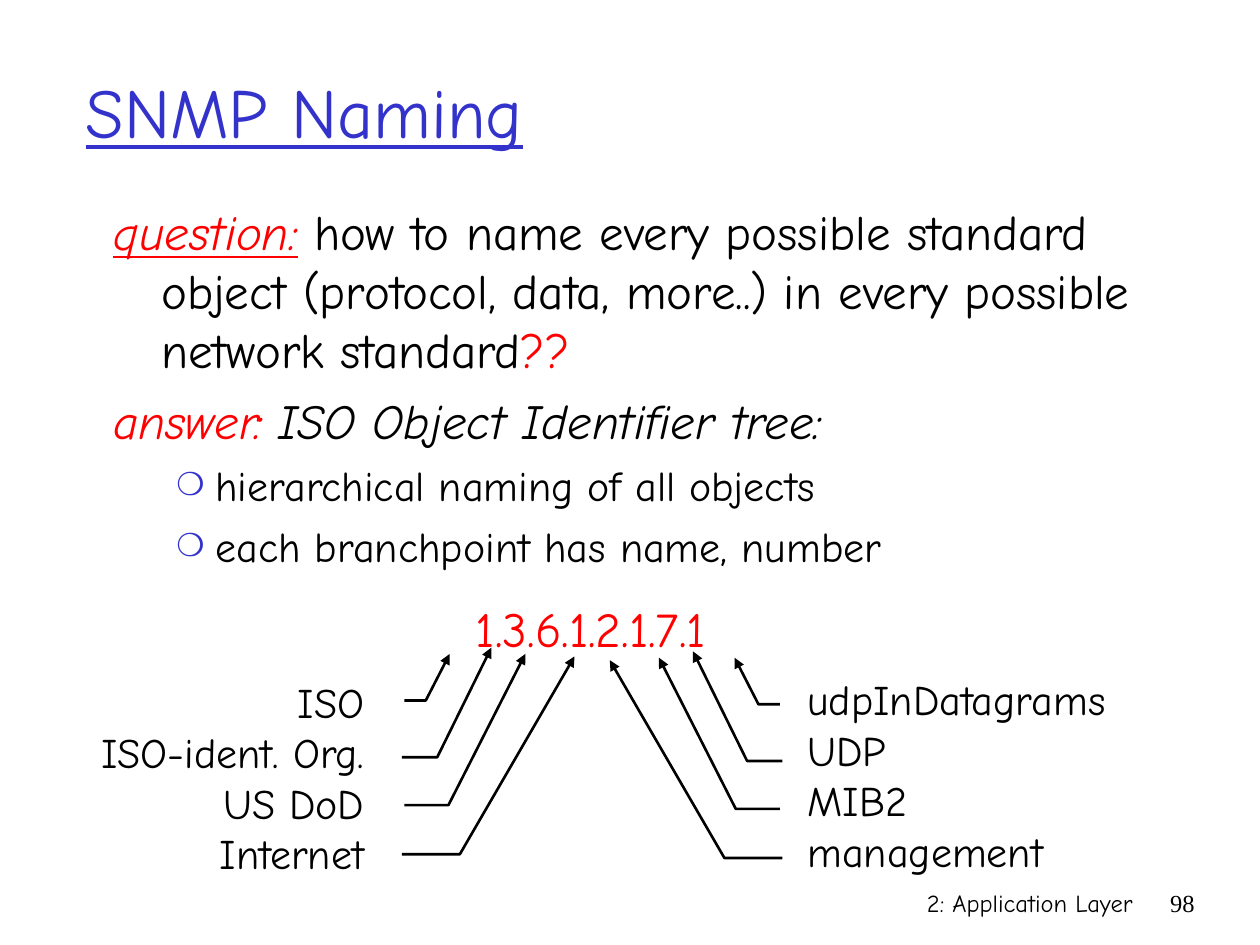
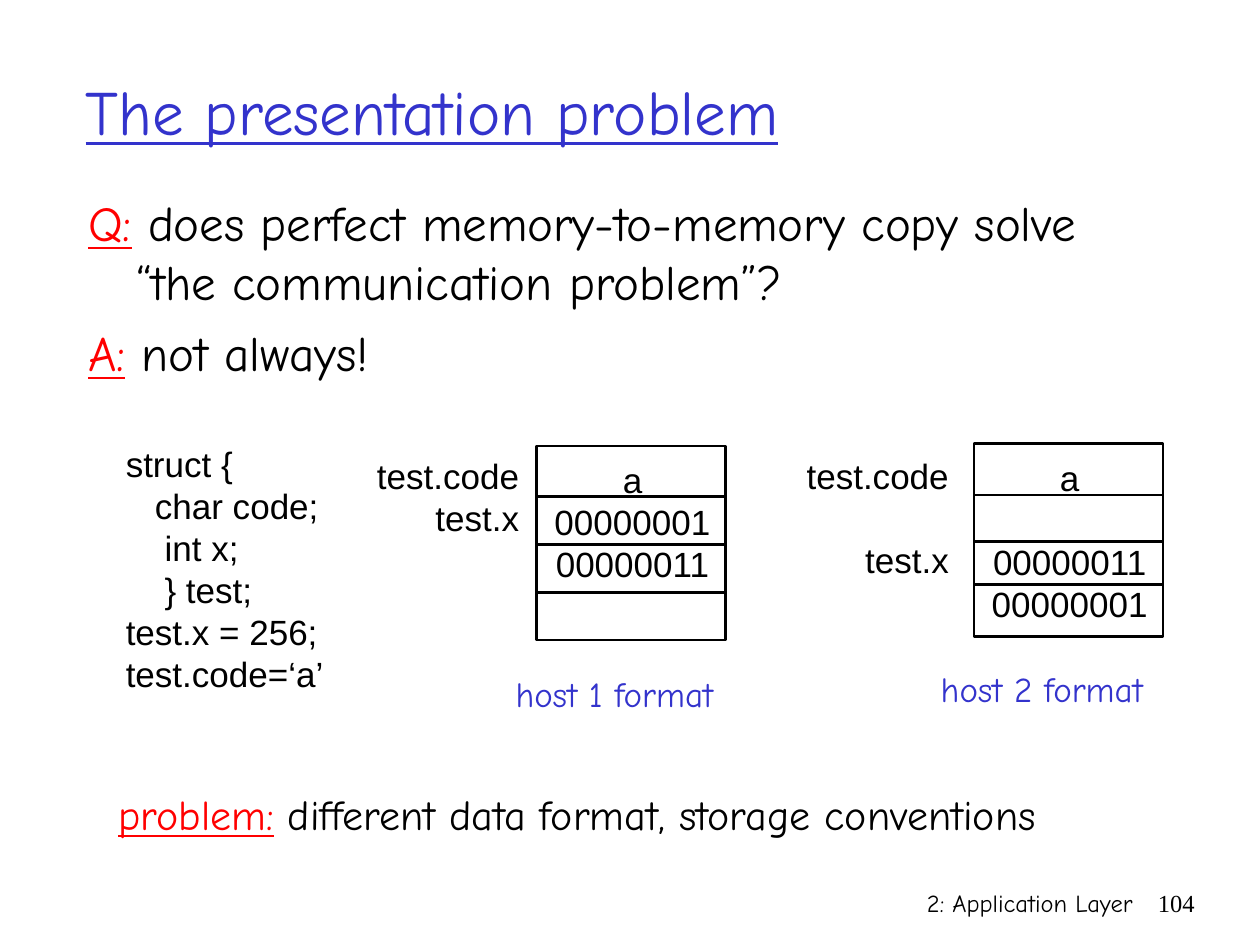
from dataclasses import dataclass
from typing import NamedTuple

from lxml.etree import SubElement
from pptx import Presentation
from pptx.dml.color import RGBColor
from pptx.enum.shapes import MSO_CONNECTOR as Connector, MSO_SHAPE as Shape
from pptx.enum.text import MSO_ANCHOR as Anchor, MSO_AUTO_SIZE as AutoSize, PP_ALIGN as Align
from pptx.oxml.ns import qn
from pptx.util import Inches, Pt

BLACK, WHITE, RED, BLUE = "000000", "FFFFFF", "FF0000", "3333CC"
HAND, SANS, SERIF = "Comic Neue", "Arial", "Times New Roman"
LINE_WIDTH = 1.5


class Area(NamedTuple):
    left: float
    top: float
    width: float
    height: float


class Span(NamedTuple):
    text: str
    color: str = BLACK
    italic: bool = False
    underline: bool = False


@dataclass(frozen=True)
class Line:
    spans: tuple[Span, ...]
    size: float
    font: str = HAND
    align: Align = Align.LEFT
    before: float = 0
    pitch: float | None = None
    margin: float = 0
    hanging: float = 0
    bullet: bool = False


class Arrow(NamedTuple):
    foot_x: float
    foot_y: float
    elbow_x: float
    tip_x: float
    tip_y: float


@dataclass(frozen=True)
class Memory:
    caption: str
    caption_area: Area
    frame: Area
    rules: tuple[float, ...]
    cells: list[Line]
    cells_height: float
    labels: list[Line]
    labels_area: Area


def rgb(color: str) -> RGBColor:
    return RGBColor.from_string(color)


def plain(text: str, size: float, color: str = BLACK, **style) -> Line:
    return Line((Span(text, color),), size, **style)


def code(text: str, align: Align = Align.LEFT, before: float = 0) -> Line:
    return plain(text, 20, font=SANS, align=align, before=before, pitch=24)


def hanging(*spans: Span, size: float = 28, before: float = 0) -> Line:
    return Line(spans, size, before=before, margin=0.38, hanging=0.38)


def bullet(text: str) -> Line:
    return plain(text, 24, before=6, margin=0.81, hanging=0.31, bullet=True)


def place(shape, area: Area) -> None:
    shape.left, shape.top, shape.width, shape.height = map(Inches, area)


def write(frame, lines: list[Line]) -> None:
    for index, line in enumerate(lines):
        para = frame.add_paragraph() if index else frame.paragraphs[0]
        para.level = int(line.bullet)
        properties = para._p.get_or_add_pPr()
        properties.set("marL", str(Inches(line.margin)))
        properties.set("indent", str(-Inches(line.hanging)))
        if line.bullet:
            bullet_color = SubElement(properties, qn("a:buClr"))
            SubElement(bullet_color, qn("a:srgbClr"), val=BLUE)
            SubElement(properties, qn("a:buSzPct"), val="75000")
            SubElement(properties, qn("a:buChar"), char="❍")
        else:
            SubElement(properties, qn("a:buNone"))
        para.alignment = line.align
        para.space_before = Pt(line.before)
        if line.pitch:
            para.line_spacing = Pt(line.pitch)
        para.font.name, para.font.size = line.font, Pt(line.size)
        for span in line.spans:
            run = para.add_run()
            run.text = span.text
            run.font.color.rgb = rgb(span.color)
            run.font.italic, run.font.underline = span.italic, span.underline


def add_text(slide, area: Area, lines: list[Line], wrap: bool = False) -> None:
    box = slide.shapes.add_textbox(*map(Inches, area))
    frame = box.text_frame
    frame.word_wrap = wrap
    frame.auto_size = AutoSize.NONE if wrap else AutoSize.SHAPE_TO_FIT_TEXT
    write(frame, lines)


def fill_placeholder(shape, area: Area, lines: list[Line], anchor: Anchor) -> None:
    place(shape, area)
    frame = shape.text_frame
    frame.auto_size = AutoSize.NONE
    frame.vertical_anchor = anchor
    write(frame, lines)


def add_page(deck, title: str, title_size: float, number: int, body_area: Area, body: list[Line]):
    page = deck.slides.add_slide(deck.slide_layouts[1])
    heading = Line((Span(title, BLUE, underline=True),), title_size)
    fill_placeholder(page.shapes.title, Area(0.58, 0.25, 8.5, 1.25), [heading], Anchor.MIDDLE)
    fill_placeholder(page.placeholders[1], body_area, body, Anchor.TOP)
    chapter = plain("2: Application Layer", 14, align=Align.RIGHT)
    add_text(page, Area(5.92, 7, 3.17, 0.5), [chapter], wrap=True)
    page_number = plain(str(number), 14, font=SERIF, align=Align.RIGHT)
    add_text(page, Area(9.08, 7, 0.5, 0.5), [page_number], wrap=True)
    return page


def style_line(line) -> None:
    line.color.rgb = rgb(BLACK)
    line.width = Pt(LINE_WIDTH)


def add_arrow(slide, arrow: Arrow) -> None:
    builder = slide.shapes.build_freeform(Inches(arrow.foot_x), Inches(arrow.foot_y))
    elbow = (Inches(arrow.elbow_x), Inches(arrow.foot_y))
    tip = (Inches(arrow.tip_x), Inches(arrow.tip_y))
    builder.add_line_segments([elbow, tip], close=False)
    shape = builder.convert_to_shape()
    shape.shadow.inherit = False
    shape.fill.background()
    style_line(shape.line)
    SubElement(shape.line._get_or_add_ln(), qn("a:tailEnd"), type="triangle")


def mirrored(arrow: Arrow) -> Arrow:
    axis_sum, drop = 9.4, 0.03
    return Arrow(axis_sum - arrow.foot_x, arrow.foot_y + drop, axis_sum - arrow.elbow_x,
                 axis_sum - arrow.tip_x, arrow.tip_y + drop)


def add_memory(slide, memory: Memory) -> None:
    left, top, width, _ = memory.frame
    frame = slide.shapes.add_shape(Shape.RECTANGLE, *map(Inches, memory.frame))
    frame.shadow.inherit = False
    frame.fill.solid()
    frame.fill.fore_color.rgb = rgb(WHITE)
    style_line(frame.line)
    add_text(slide, Area(left + 0.04, top + 0.05, 1.44, memory.cells_height), memory.cells)
    for offset in memory.rules:
        y = Inches(top + offset)
        rule = slide.shapes.add_connector(Connector.STRAIGHT, Inches(left), y, Inches(left + width), y)
        style_line(rule.line)
        SubElement(rule._element.spPr, qn("a:effectLst"))
    add_text(slide, memory.labels_area, memory.labels)
    add_text(slide, memory.caption_area, [plain(memory.caption, 20, BLUE, align=Align.RIGHT)])


def build_naming(deck) -> None:
    body = [
        hanging(Span("question:", RED, italic=True, underline=True),
                Span(" how to name every possible standard object (protocol, data, more..)"
                     " in every possible network standard"),
                Span("??", RED)),
        hanging(Span("answer:", RED, italic=True),
                Span(" ISO Object Identifier tree:", italic=True), before=7),
        bullet("hierarchical naming of all objects"),
        bullet("each branchpoint has name, number"),
    ]
    page = add_page(deck, "SNMP Naming", 40, 98, Area(0.8, 1.55, 8.78, 3.04), body)
    identifier = plain("1.3.6.1.2.1.7.1", 28, RED, align=Align.CENTER)
    add_text(page, Area(3.54, 4.7, 2.3, 0.57), [identifier])
    upper_names = ["ISO", "ISO-ident. Org.", "US DoD", "Internet"]
    lower_names = ["udpInDatagrams", "UDP", "MIB2", "management"]
    add_text(page, Area(0.69, 5.32, 2.3, 1.7),
             [plain(name, 24, align=Align.RIGHT) for name in upper_names])
    add_text(page, Area(6.31, 5.3, 2.58, 1.7), [plain(name, 24) for name in lower_names])
    arrows = [
        Arrow(3.21, 5.56, 3.38, 3.57, 5.19),
        Arrow(3.19, 6.01, 3.47, 3.9, 5.14),
        Arrow(3.21, 6.39, 3.56, 4.17, 5.19),
        Arrow(3.19, 6.78, 3.65, 4.56, 5.21),
    ]
    for arrow in arrows:
        add_arrow(page, arrow)
        add_arrow(page, mirrored(arrow))


def build_presentation_problem(deck) -> None:
    body = [
        hanging(Span("Q:", RED, underline=True),
                Span(" does perfect memory-to-memory copy solve “the communication problem”?")),
        hanging(Span("A:", RED, underline=True), Span(" not always!"), before=7),
    ]
    page = add_page(deck, "The presentation problem", 36, 104, Area(0.6, 1.48, 8.5, 1.68), body)
    problem = hanging(Span("problem:", RED, underline=True),
                      Span(" different data format, storage conventions"), size=24)
    add_text(page, Area(0.84, 6.21, 8.5, 0.62), [problem], wrap=True)
    source = ["struct {", "   char code;", "    int x;", "    } test;", "test.x = 256;", "test.code=‘a’"]
    add_text(page, Area(0.9, 3.46, 1.77, 2.1), [code(text) for text in source])
    center, right, skipped_row = Align.CENTER, Align.RIGHT, 24
    memories = [
        Memory("host 1 format", Area(3.99, 5.29, 1.77, 0.44), Area(4.26, 3.54, 1.5, 1.54),
               (0.4, 0.78, 1.16),
               [code("a", center), code("00000001", center), code("00000011", center)], 1.1,
               [code("test.code", right), code("test.x", right)], Area(2.89, 3.56, 1.33, 0.77)),
        Memory("host 2 format", Area(7.36, 5.25, 1.81, 0.44), Area(7.73, 3.52, 1.5, 1.53),
               (0.41, 0.78, 1.12),
               [code("a", center), code("00000011", center, skipped_row), code("00000001", center)], 1.44,
               [code("test.code", right), code("test.x", right, skipped_row)],
               Area(6.3, 3.56, 1.33, 1.1)),
    ]
    for memory in memories:
        add_memory(page, memory)


def main() -> None:
    """Build the two application-layer slides and save the deck."""
    deck = Presentation()
    deck.slide_width, deck.slide_height = Inches(10), Inches(7.5)
    build_naming(deck)
    build_presentation_problem(deck)
    deck.save("out.pptx")


if __name__ == "__main__":
    main()
